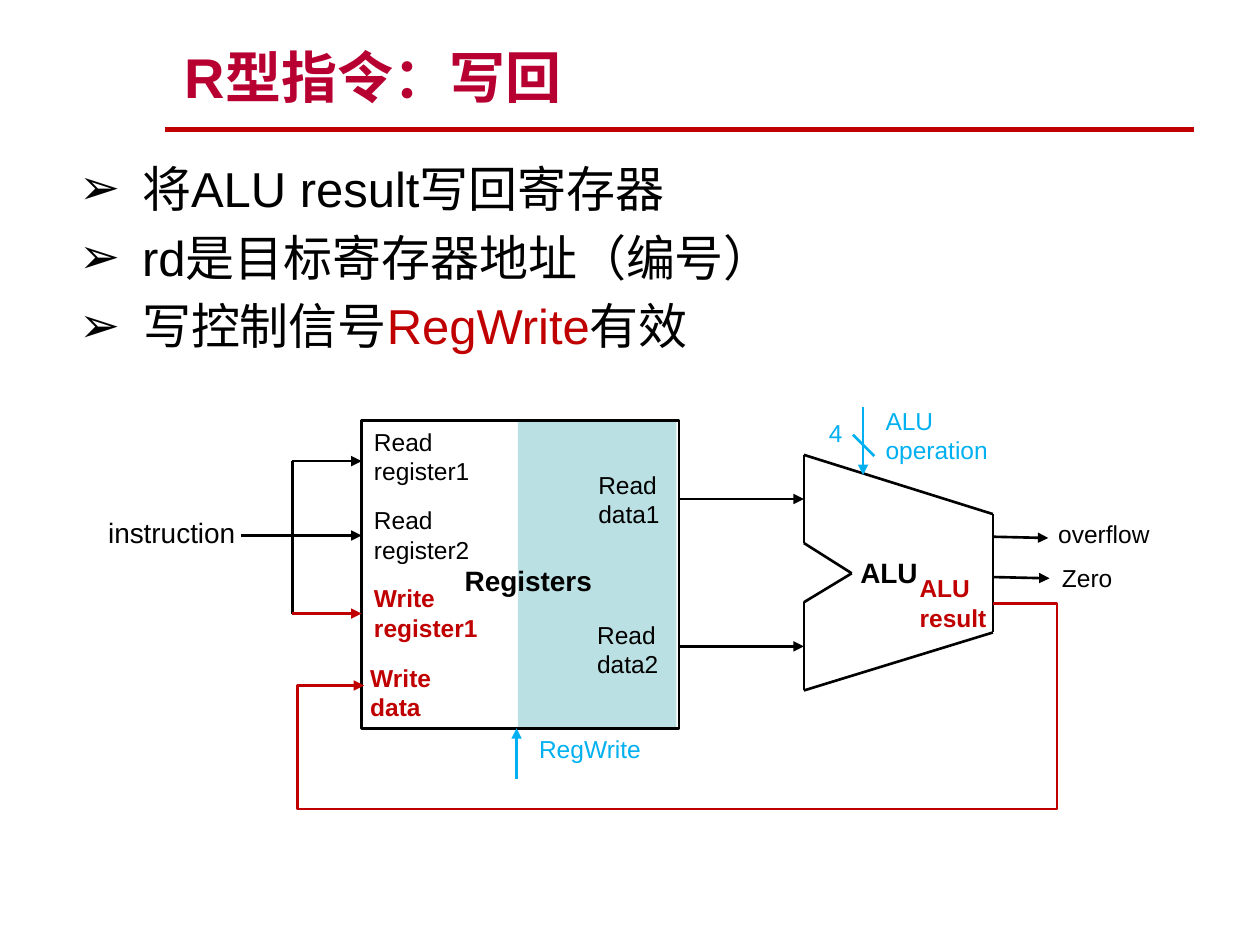
"""Build the slide on the write-back step of R-type instructions."""
import pptx
import pptx.dml.color
import pptx.enum.shapes
import pptx.enum.text
import pptx.oxml
import pptx.oxml.ns
import pptx.util
from lxml import etree

Inches, Pt = pptx.util.Inches, pptx.util.Pt
qn = pptx.oxml.ns.qn
SHAPE = pptx.enum.shapes.MSO_SHAPE
LINK = pptx.enum.shapes.MSO_CONNECTOR
HEX = {"black": "000000", "red": "C00000", "blue": "00B0F0", "title": "B70031",
       "teal": "BBE0E3"}
RGB = {name: pptx.dml.color.RGBColor.from_string(code) for name, code in HEX.items()}

deck = pptx.Presentation()
deck.slide_width, deck.slide_height = Inches(10), Inches(7.5)
slide = deck.slides.add_slide(deck.slide_layouts[6])
shapes = slide.shapes


def write(box, lines, size=14, color="black", bold=False):
    """Add a text box with one paragraph per line."""
    frame = shapes.add_textbox(*map(Inches, box)).text_frame
    frame.word_wrap = True
    frame.text = "\n".join(lines)
    for para in frame.paragraphs:
        para.font.name = "Arial"
        para.font.size = Pt(size)
        para.font.bold = bold
        para.font.color.rgb = RGB[color]
    return frame


def wire(start, end, color="black", tip=None, width=1.5, kind=LINK.STRAIGHT):
    """Add a connector, with an arrowhead if tip is set."""
    link = shapes.add_connector(kind, *map(Inches, start + end))
    link.line.color.rgb = RGB[color]
    link.line.width = Pt(width)
    if tip:
        etree.SubElement(link._element.spPr.find(qn("a:ln")), qn("a:" + tip), type="triangle")
    etree.SubElement(link._element.spPr, qn("a:effectLst"))
    return link


wire((1.31, 1.03), (9.48, 1.03), "red", width=3)

half = shapes.add_shape(SHAPE.RECTANGLE, *map(Inches, (4.11, 3.34, 1.26, 2.44)))
half.fill.solid()
half.fill.fore_color.rgb = RGB["teal"]
half.line.fill.background()
half.shadow.inherit = False

body = write((0.53, 1.21, 8.95, 1.82), ["", "", ""], 28)
points = [["将ALU result写回寄存器"], ["rd是目标寄存器地址（编号）"],
          ["写控制信号", "RegWrite", "有效"]]
for row, (para, parts) in enumerate(zip(body.paragraphs, points)):
    for part in parts:
        run = para.add_run()
        run.text = part
        if part == "RegWrite":
            run.font.color.rgb = RGB["red"]
    if row:
        para.space_before = Pt(5.6)
    props = para._p.get_or_add_pPr()
    props.set("marL", str(Inches(0.5)))
    props.set("indent", str(Inches(-0.5)))
    face = etree.Element(qn("a:buFont"), typeface="Arial")
    mark = etree.Element(qn("a:buChar"), char="➢")
    for item in (face, mark):
        props.find(qn("a:defRPr")).addprevious(item)

title = write((1.37, 0.25, 8, 0.67), ["R型指令：写回"], 32, "title", True)
title.vertical_anchor = pptx.enum.text.MSO_ANCHOR.BOTTOM

bank = shapes.add_shape(SHAPE.RECTANGLE, *map(Inches, (2.87, 3.34, 2.52, 2.44)))
bank.fill.background()
bank.line.color.rgb = RGB["black"]
bank.line.width = Pt(1.5)
bank.shadow.inherit = False

for left, top, width, lines, color in [
    (2.87, 3.34, 1.26, ["Read", "register1"], "black"),
    (2.87, 3.96, 1.26, ["Read", "register2"], "black"),
    (2.87, 4.58, 1.26, ["Write", "register1"], "red"),
    (2.84, 5.21, 1.26, ["Write", "data"], "red"),
    (4.65, 3.68, 0.74, ["Read", "data1"], "black"),
    (4.64, 4.87, 0.75, ["Read", "data2"], "black"),
    (7.2, 4.5, 0.76, ["ALU", "result"], "red"),
    (6.93, 3.17, 1.24, ["ALU operation"], "blue"),
]:
    write((left, top, width, 0.57), lines, 14, color, color == "red")

for left, top, width, word, color in [
    (8.33, 4.42, 0.69, "Zero", "black"),
    (8.3, 4.07, 1.11, "overflow", "black"),
    (6.48, 3.27, 0.43, "4", "blue"),
    (4.18, 5.78, 1.24, "RegWrite", "blue"),
]:
    write((left, top, width, 0.34), [word], 14, color)

for left, top, width, word, bold in [
    (3.59, 4.42, 1.26, "Registers", True),
    (6.73, 4.36, 0.67, "ALU", True),
    (0.76, 4.04, 1.34, "instruction", False),
]:
    write((left, top, width, 0.37), [word], 16, "black", bold)

wire((1.91, 4.25), (2.35, 4.25))
wire((2.32, 4.87), (2.32, 3.66))
for y, color in [(3.66, "black"), (4.25, "black"), (4.87, "red")]:
    wire((2.32, y), (2.87, y), color, "tailEnd")
for y in (3.96, 5.13):
    wire((5.39, y), (6.38, y), tip="tailEnd")
wire((7.88, 4.26), (8.32, 4.27), tip="tailEnd")
wire((7.89, 4.58), (8.33, 4.59), tip="tailEnd")

edges = [(6.38, 3.61), (6.38, 4.31), (6.76, 4.55), (6.38, 4.78),
         (6.38, 5.48), (7.88, 5.02), (7.88, 4.08)]
for start, end in zip(edges, edges[1:] + edges[:1]):
    wire(start, end)

wire((6.85, 3.23), (6.85, 3.77), "blue", "tailEnd")
wire((6.77, 3.45), (6.94, 3.62), "blue")
wire((4.1, 5.78), (4.1, 6.18), "blue", "headEnd")

loop = wire((7.88, 4.79), (2.89, 5.44), "red", "tailEnd", kind=LINK.ELBOW)
geom = loop._element.spPr.find(qn("a:prstGeom"))
geom.set("prst", "bentConnector5")
guides = geom.find(qn("a:avLst"))
for rank, value in enumerate((-10200, 250700, 110600), 1):
    etree.SubElement(guides, qn("a:gd"), name=f"adj{rank}", fmla=f"val {value}")

deck.save("out.pptx")
